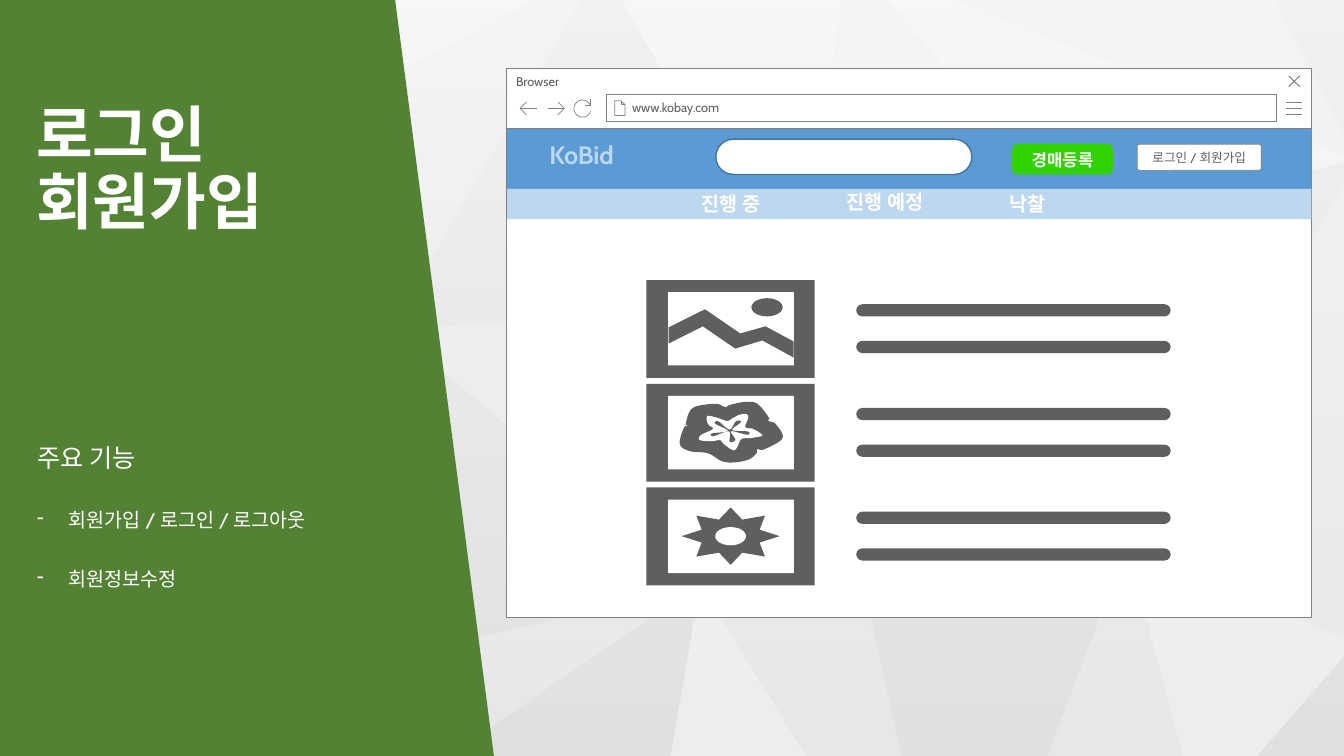
import math
import pptx
import pptx.util
import pptx.dml.color
import pptx.enum.shapes
import pptx.enum.text
import pptx.oxml.ns
from lxml import etree

Pt = pptx.util.Pt
MSO = pptx.enum.shapes.MSO_SHAPE
ALIGN = pptx.enum.text.PP_ALIGN
ANCHOR = pptx.enum.text.MSO_ANCHOR
qn = pptx.oxml.ns.qn

FONT = "Cabin"
WHITE, GRAY, DARK, SKY = "FFFFFF", "808080", "5F5F5F", "BDD7EE"

LIGHT_FACETS = [
    [(500, 418), (479, 540), (576, 540)],
    [(805, 390), (845, 540), (898, 540), (960, 469), (960, 456)],
    [(0, 156), (0, 413), (67, 376)],
    [(634, 0), (770, 163), (960, 116), (960, 111), (681, 0)],
    [(67, 376), (279, 235), (127, 134)],
    [(88, 0), (127, 134), (382, 0)],
    [(444, 0), (570, 221), (601, 0)],
]
SHADED_FACETS = [
    [(67, 376), (0, 413), (0, 486), (189, 491)],
    [(189, 491), (174, 540), (295, 540)],
    [(960, 469), (898, 540), (960, 540)],
    [(0, 511), (0, 540), (130, 540)],
    [(805, 390), (616, 415), (644, 540), (748, 540)],
    [(500, 418), (320, 540), (479, 540)],
    [(960, 116), (570, 221), (805, 390), (960, 132)],
    [(500, 418), (279, 235), (189, 491)],
    [(911, 0), (960, 97), (960, 0)],
    [(0, 50), (0, 156), (67, 376), (127, 134)],
    [(415, 0), (279, 235), (570, 221), (444, 0)],
]
MOUNTAINS = [(15.8, 33.8), (41.8, 20.9), (67, 38.2), (85, 33.1), (105.1, 43.9),
             (105.1, 55.4), (82.8, 43.2), (63.4, 49), (40.3, 33.1), (15.8, 45.4)]
BLOSSOM = [(70.6, 13), (59.8, 15.1), (56.2, 16.6), (49, 14.4), (33.1, 17.3), (28.1, 28.1),
           (29.5, 30.2), (26.6, 31.7), (23.8, 43.2), (31, 48.2), (43.9, 49.7), (54, 55.4),
           (63.4, 56.2), (73.4, 54), (78.5, 49.7), (79.2, 46.8), (84.2, 46.8), (97.2, 38.9),
           (92.2, 28.8), (87.1, 26.6), (87.1, 23.8), (79.2, 14.4)]
PETALS = [(71.3, 21.6), (72.7, 24.5), (70.6, 31), (76.3, 32.4), (82.8, 36.7), (78.5, 38.2),
          (73.4, 38.9), (67.7, 39.6), (64.8, 45.4), (61.9, 47.5), (55.4, 43.2), (52.6, 40.3),
          (46.8, 41), (38.2, 40.3), (38.9, 36.7), (47.5, 32.4), (44.6, 29.5), (43.2, 26.6),
          (43.9, 23), (51.1, 24.5), (57.6, 26.6), (61.9, 24.5), (66.2, 22.3)]
STAMENS = [(64, 26.8), (67.5, 27.5), (61.2, 33.1), (72.5, 34.2), (72, 36.5), (60.5, 34),
           (63.5, 40), (59.5, 41.5), (59, 34), (48, 37.5), (46.8, 35.5), (58.3, 33.8),
           (49, 28.5), (51.5, 27), (59.3, 32.8)]
SUNBURST = [(0, -20.5), (8.3, -11.8), (24.5, -14.6), (20.7, -4.6), (35, 0), (20.7, 4.6),
            (24.5, 14.6), (8.3, 11.8), (0, 20.5), (-8.3, 11.8), (-24.5, 14.6), (-20.7, 4.6),
            (-35, 0), (-20.7, -4.6), (-24.5, -14.6), (-8.3, -11.8)]


def rgb(hex_color):
    return pptx.dml.color.RGBColor.from_string(hex_color)


def paint(sp, fill=None, line=None, width=0.5):
    sp.shadow.inherit = False
    if fill:
        sp.fill.solid()
        sp.fill.fore_color.rgb = rgb(fill)
    else:
        sp.fill.background()
    if line:
        sp.line.color.rgb = rgb(line)
        sp.line.width = Pt(width)
    else:
        sp.line.fill.background()
    return sp


def shape(slide, kind, x, y, w, h, fill=None, line=None, width=0.5, adj=None):
    sp = slide.shapes.add_shape(kind, Pt(x), Pt(y), Pt(w), Pt(h))
    if adj is not None:
        sp.adjustments[0] = adj
    return paint(sp, fill, line, width)


def outline(slide, x, y, points, fill=None, line=None, close=True):
    pts = [(Pt(x + px), Pt(y + py)) for px, py in points]
    fb = slide.shapes.build_freeform(*pts[0])
    fb.add_line_segments(pts[1:], close=close)
    return paint(fb.convert_to_shape(), fill, line)


def segment(slide, x1, y1, x2, y2, width=0.5):
    c = slide.shapes.add_connector(pptx.enum.shapes.MSO_CONNECTOR.STRAIGHT,
                                   Pt(x1), Pt(y1), Pt(x2), Pt(y2))
    c.line.color.rgb = rgb(GRAY)
    c.line.width = Pt(width)
    etree.SubElement(c._element.spPr, qn("a:effectLst"))


def write(sp, text, size, color, bold=False, align=ALIGN.LEFT, anchor=ANCHOR.TOP, left=7.2):
    tf = sp.text_frame
    tf.word_wrap = True
    tf.vertical_anchor = anchor
    tf.margin_left = Pt(left)
    tf.text = text
    for p in tf.paragraphs:
        p.alignment = align
        for r in p.runs:
            r.font.name, r.font.size, r.font.bold = FONT, Pt(size), bold
            r.font.color.rgb = rgb(color)
    return tf


def label(slide, x, y, w, h, *args, **kwargs):
    return write(slide.shapes.add_textbox(Pt(x), Pt(y), Pt(w), Pt(h)), *args, **kwargs)


def smooth(points, steps=6):
    n, result = len(points), []
    for i in range(n):
        a, b, c, d = (points[(i + k) % n] for k in (-1, 0, 1, 2))
        for s in range(steps):
            t = s / steps
            result.append(tuple(
                b[k] + t * (c[k] - a[k]) / 2
                + t * t * (2 * a[k] - 5 * b[k] + 4 * c[k] - d[k]) / 2
                + t ** 3 * (3 * b[k] - a[k] - 3 * c[k] + d[k]) / 2 for k in (0, 1)))
    return result


def background(slide, x, y, w, h):
    shape(slide, MSO.RECTANGLE, x, y, w, h, "E7E7E7")
    for facets, color in ((LIGHT_FACETS, "EDEDED"), (SHADED_FACETS, "E0E0E0")):
        for points in facets:
            outline(slide, x, y, points, color)
    veil = shape(slide, MSO.RECTANGLE, x, y, w, h)
    veil.fill.gradient()
    veil.fill.gradient_angle = 270
    for stop, position, alpha in zip(veil.fill.gradient_stops, (0, 1), (60000, 0)):
        stop.color.rgb = rgb(WHITE)
        stop.position = position
    for clr, alpha in zip(veil._element.spPr.iter(qn("a:srgbClr")), (60000, 0)):
        etree.SubElement(clr, qn("a:alpha")).set("val", str(alpha))


def side_panel(slide, x, y, w, h):
    shift = (h - w) / 2
    sp = shape(slide, MSO.FLOWCHART_MANUAL_INPUT, x - shift, y + shift, h, w, "548235")
    sp.rotation = 90
    tf = label(slide, x + 18.7, y + 27.4, 289.4, 189.4, "로그인\v회원가입", 44, WHITE, True,
               anchor=ANCHOR.MIDDLE)
    tf.paragraphs[0].line_spacing = 0.9
    tf = label(slide, x + 19.4, y + 303.8, 283.7, 198,
               "주요 기능\n회원가입 / 로그인 / 로그아웃\n회원정보수정", 18, WHITE)
    for i, p in enumerate(tf.paragraphs):
        p.line_spacing = 1.2 if i else 1.4
        p.space_after = Pt(12)
        if i:
            p.space_before = Pt(10)
            pPr = p._p.get_or_add_pPr()
            pPr.set("marL", str(Pt(22.5)))
            pPr.set("indent", str(-Pt(22.5)))
            etree.SubElement(pPr, qn("a:buChar")).set("char", "-")
            p.runs[0].font.size = Pt(14)


def browser_bar(slide, x, y, w, h):
    bar = shape(slide, MSO.RECTANGLE, x, y, w, h, WHITE, GRAY)
    write(bar, "Browser", 9, DARK)
    for i in range(3):
        segment(slide, x + w - 18, y + 23.8 + 4.6 * i, x + w - 6.5, y + 23.8 + 4.6 * i)
    left, right, top, bottom = x + w - 16.3, x + w - 8.4, y + 5.2, y + 12.9
    segment(slide, left, top, right, bottom, 0.75)
    segment(slide, left, bottom, right, top, 0.75)
    address = shape(slide, MSO.RECTANGLE, x + 71.3, y + 18.7, 478.8, 18.7, WHITE, GRAY)
    write(address, "www.kobay.com", 9, DARK, anchor=ANCHOR.MIDDLE, left=18.7)
    outline(slide, x + 77.6, y + 23, [(0, 0), (4.5, 0), (7.4, 2.9), (7.4, 10.6), (0, 10.6)],
            line=GRAY)
    outline(slide, x + 77.6, y + 23, [(4.5, 0), (4.5, 2.9), (7.4, 2.9)], line=GRAY, close=False)
    for tail, tip in ((22.2, 10), (29.6, 41.6)):
        back = math.copysign(4.6, tail - tip)
        segment(slide, x + tail, y + 28.4, x + tip, y + 28.4)
        outline(slide, x + tip, y + 28.4, [(back, -4.6), (0, 0), (back, 4.6)],
                line=GRAY, close=False)
    arc = [(6.1 * math.cos(math.radians(a)), 6.1 * math.sin(math.radians(a)))
           for a in range(20, 341, 10)]
    outline(slide, x + 54.6, y + 28.6, arc, line=GRAY, close=False)
    outline(slide, x + 54.6, y + 28.6, [(5.7, -6.9), (5.7, -2.3), (1.5, -2.3)],
            line=GRAY, close=False)


def site_header(slide, x, y, w, h):
    shape(slide, MSO.RECTANGLE, x, y, w, h, "5B9BD5")
    login = shape(slide, MSO.ROUNDED_RECTANGLE, x + 450, y + 10.8, 88.6, 18.7, WHITE, GRAY,
                  adj=0.09)
    write(login, "로그인 / 회원가입", 9, DARK, align=ALIGN.CENTER, anchor=ANCHOR.MIDDLE)
    label(slide, x + 23, y + 3.6, 73.4, 28.8, "KoBid", 18, SKY, True)
    shape(slide, MSO.ROUNDED_RECTANGLE, x + 149, y + 7.2, 182.9, 25.2, WHITE, "43739E", 1, 0.5)
    shape(slide, MSO.RECTANGLE, x, y + h, w, 21.6, SKY)
    for tab, left, top, width in (("진행 중", 131.8, 41, 60.5), ("진행 예정", 235.4, 39.6, 84.2),
                                  ("낙찰", 351.4, 41, 63.4)):
        label(slide, x + left, y + top, width, 24.5, tab, 14, WHITE, True)
    register = shape(slide, MSO.ROUNDED_RECTANGLE, x + 360.7, y + 10.8, 72, 21.6, "32D200")
    write(register, "경매등록", 12, WHITE, True, ALIGN.CENTER, ANCHOR.MIDDLE)


def auction_list(slide, x, y, pitch):
    for row in range(3):
        top = y + row * pitch
        shape(slide, MSO.RECTANGLE, x, top, 120.2, 70, DARK)
        shape(slide, MSO.RECTANGLE, x + 15.5, top + 8.7, 89.8, 52.4, WHITE)
        for offset in (17.3, 43.5):
            shape(slide, MSO.ROUNDED_RECTANGLE, x + 149.8, top + offset, 224.6, 8.7, DARK,
                  adj=0.5)
    outline(slide, x, y, MOUNTAINS, DARK)
    shape(slide, MSO.OVAL, x + 74.9, y + 13, 22.3, 13, DARK)
    for points, color in ((BLOSSOM, DARK), (PETALS, WHITE), (STAMENS, DARK)):
        outline(slide, x, y + pitch, smooth(points), color)
    center_x, center_y = x + 60.1, y + 2 * pitch + 34.8
    outline(slide, center_x, center_y, SUNBURST, DARK)
    shape(slide, MSO.OVAL, center_x - 11, center_y - 6.5, 22, 13, WHITE)


def browser_window(slide, x, y, w, h):
    shape(slide, MSO.RECTANGLE, x, y + 41.8, w, h - 41.8, WHITE, GRAY)
    browser_bar(slide, x, y, w, 42.5)
    site_header(slide, x + 0.8, y + 43.2, w - 0.8, 42.8)
    auction_list(slide, x + 100.3, y + 151, 74.1)


def main():
    prs = pptx.Presentation()
    prs.slide_width, prs.slide_height = Pt(960), Pt(540)
    slide = prs.slides.add_slide(prs.slide_layouts[6])
    background(slide, 0, 0, 960, 540)
    side_panel(slide, 0, 0, 352.8, 540)
    browser_window(slide, 361.5, 49, 575.3, 391.7)
    prs.save("out.pptx")


if __name__ == "__main__":
    main()
